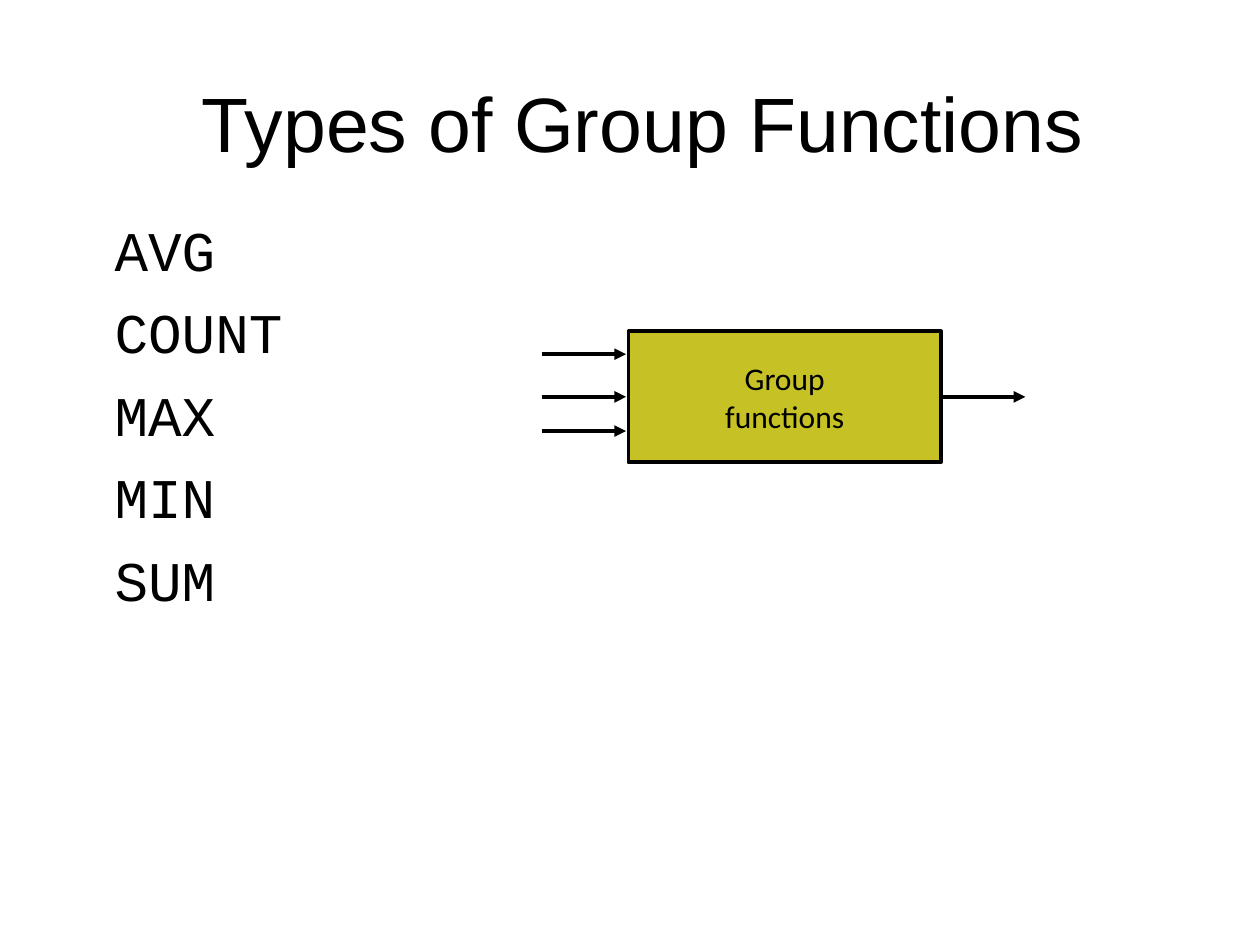
from lxml.etree import SubElement
from pptx import Presentation
from pptx.dml.color import RGBColor
from pptx.enum.shapes import MSO_CONNECTOR as Connector, MSO_SHAPE as Preset
from pptx.enum.text import MSO_ANCHOR as Anchor, PP_ALIGN as Align
from pptx.oxml.ns import qn
from pptx.util import Cm, Pt

BLACK = "000000"
OLIVE = "C6C225"


def color(value):
    """Turn a hex string into a colour."""
    return RGBColor.from_string(value)


def write_lines(frame, lines, font, size, align, before=0):
    """Write one formatted paragraph for each line."""
    for index, line in enumerate(lines):
        para = frame.paragraphs[0] if index == 0 else frame.add_paragraph()
        para.alignment = align
        para.space_before = Pt(before)
        span = para.add_run()
        span.text = line
        span.font.name = font
        span.font.size = Pt(size)
        span.font.color.rgb = color(BLACK)


def place_title(page, left, top, width, height):
    """Move and fill the title placeholder."""
    title = page.shapes.title
    title.left, title.top = Cm(left), Cm(top)
    title.width, title.height = Cm(width), Cm(height)
    title.text_frame.vertical_anchor = Anchor.MIDDLE
    write_lines(title.text_frame, ["Types of Group Functions"], "Arial", 44, Align.CENTER)


def add_function_list(page, left, top, width, height):
    """List the names of the group functions."""
    box = page.shapes.add_textbox(Cm(left), Cm(top), Cm(width), Cm(height))
    box.text_frame.word_wrap = True
    names = ["AVG", "COUNT", "MAX", "MIN", "SUM"]
    write_lines(box.text_frame, names, "Courier New", 32, Align.LEFT, before=8.7)


def add_arrow(page, left, top, length):
    """Draw a horizontal arrow pointing right."""
    arrow = page.shapes.add_connector(
        Connector.STRAIGHT, Cm(left), Cm(top), Cm(left + length), Cm(top))
    arrow.line.color.rgb = color(BLACK)
    arrow.line.width = Pt(2.25)
    SubElement(arrow.line._get_or_add_ln(), qn("a:tailEnd"), type="triangle")
    SubElement(arrow._element.spPr, qn("a:effectLst"))


def add_flow(page, left, top, width, height):
    """Draw the function block with three inputs and one output."""
    arrow_length = 1.7
    block_left = left + arrow_length + 0.05
    block_width = width - 2 * arrow_length - 0.05
    block = page.shapes.add_shape(
        Preset.RECTANGLE, Cm(block_left), Cm(top), Cm(block_width), Cm(height))
    block.shadow.inherit = False
    block.fill.solid()
    block.fill.fore_color.rgb = color(OLIVE)
    block.line.color.rgb = color(BLACK)
    block.line.width = Pt(2.25)
    block.text_frame.word_wrap = False
    block.text_frame.vertical_anchor = Anchor.MIDDLE
    write_lines(block.text_frame, ["Group", "functions"], "Calibri", 18, Align.CENTER)

    middle = height / 2
    for offset in (0.46, middle, 2.01):
        add_arrow(page, left, top + offset, arrow_length)
    add_arrow(page, block_left + block_width, top + middle, arrow_length)


def main():
    """Build and save the deck."""
    deck = Presentation()
    deck.slide_width, deck.slide_height = Cm(25.4), Cm(19.05)
    page = deck.slides.add_slide(deck.slide_layouts[5])
    page.background.fill.solid()
    page.background.fill.fore_color.rgb = color("FFFFFF")
    add_function_list(page, 2.06, 4.22, 22.76, 12.65)
    place_title(page, 1.27, 1.3, 23.39, 2.31)
    add_flow(page, 10.92, 6.68, 9.75, 2.64)
    deck.save("out.pptx")


if __name__ == "__main__":
    main()
